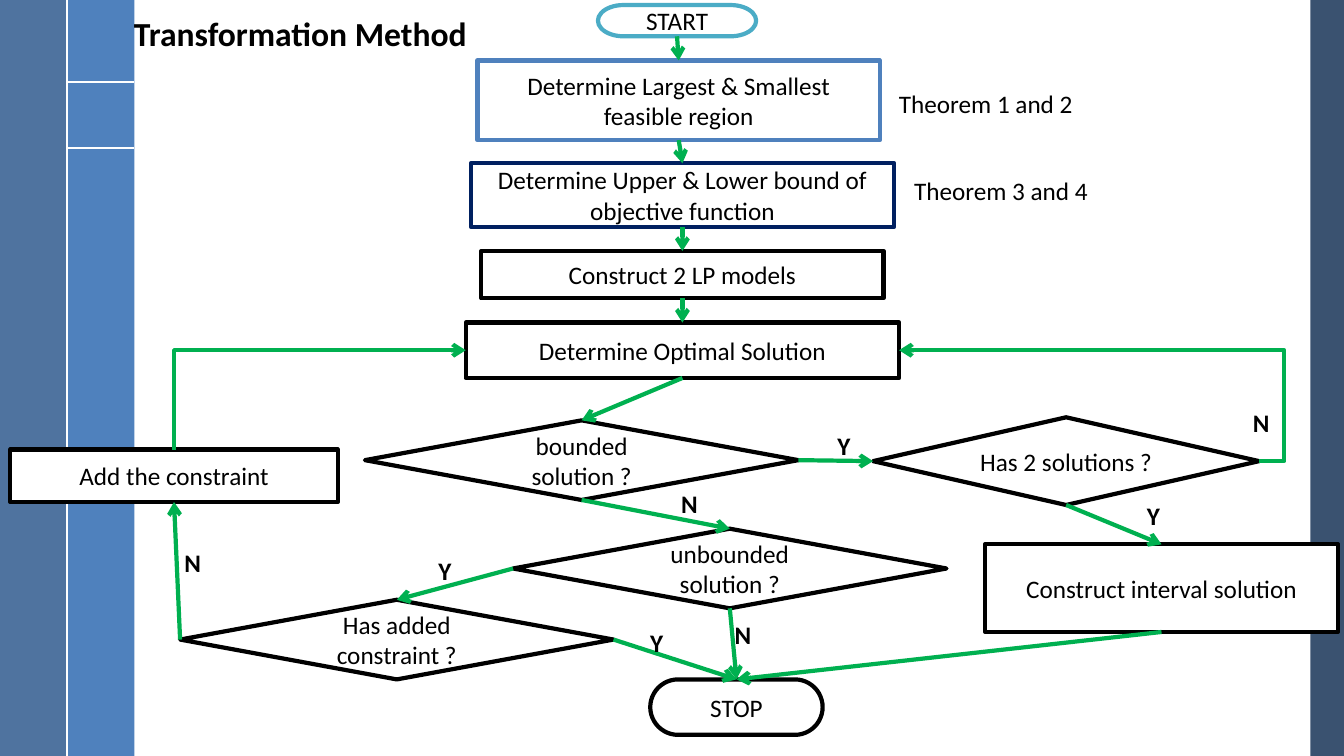
from collections import namedtuple

from lxml import etree
from pptx import Presentation
from pptx import util as u
from pptx.dml import color
from pptx.enum import shapes, text
from pptx.oxml import ns

COLUMNS, ROWS = 40, 30
COLORS = {
    "ink": "000000", "paper": "FFFFFF", "arrow": "00B050", "teal": "4BACC6",
    "blue": "4F81BD", "navy": "002060", "left": "376092", "right": "254061",
}
KINDS = {
    "end": shapes.MSO_SHAPE.FLOWCHART_TERMINATOR,
    "step": shapes.MSO_SHAPE.FLOWCHART_PROCESS,
    "choice": shapes.MSO_SHAPE.FLOWCHART_DECISION,
}
TOP, LEFT, BOTTOM, RIGHT = range(4)
Box = namedtuple("Box", "left top width height")

NODES = {
    "start": ("end", "START", "teal", 20.15, 0.2, 4.71, 1.24),
    "region": ("step", "Determine Largest & Smallest feasible region", "blue", 20.2, 2.4, 11.97, 3.16),
    "bounds": ("step", "Determine Upper & Lower bound of objective function", "navy", 20.31, 6.48, 12.6, 2.52),
    "models": ("step", "Construct 2 LP models", "ink", 20.31, 9.96, 11.97, 1.88),
    "optimal": ("step", "Determine Optimal Solution", "ink", 20.31, 12.8, 12.9, 2.2),
    "bounded": ("choice", "bounded\nsolution ?", "ink", 17.31, 16.68, 12.9, 3.16),
    "two": ("choice", "Has 2 solutions ?", "ink", 31.73, 16.56, 11.49, 3.48),
    "interval": ("step", "Construct interval solution", "ink", 34.57, 21.6, 10.5, 3.48),
    "unbounded": ("choice", "unbounded solution ?", "ink", 21.72, 20.98, 12.9, 3.16),
    "added": ("choice", "Has added constraint ?", "ink", 11.81, 23.8, 12.9, 3.16),
    "add": ("step", "Add the constraint", "ink", 5.18, 17.84, 9.75, 2.08),
    "stop": ("end", "STOP", "ink", 21.92, 26.96, 5.13, 2.2),
}
ARROWS = [
    ("start", BOTTOM, "region", TOP), ("region", BOTTOM, "bounds", TOP),
    ("bounds", BOTTOM, "models", TOP), ("models", BOTTOM, "optimal", TOP),
    ("optimal", BOTTOM, "bounded", TOP), ("bounded", RIGHT, "two", LEFT),
    ("bounded", BOTTOM, "unbounded", TOP), ("two", BOTTOM, "interval", TOP),
    ("unbounded", BOTTOM, "stop", TOP), ("unbounded", LEFT, "added", TOP),
    ("added", LEFT, "add", BOTTOM), ("interval", BOTTOM, "stop", TOP),
    ("added", RIGHT, "stop", TOP),
]
ANSWERS = {
    "Y": [(12.75, 21.84), (19.05, 24.68), (24.63, 16.88), (33.84, 19.64)],
    "N": [(5.19, 21.52), (19.98, 19.2), (21.57, 24.36), (36.99, 15.96)],
}
THEOREMS = [("Theorem 1 and 2", 26.46, 3.32), ("Theorem 3 and 4", 26.91, 6.76)]


def place(box, left, top, width, height):
    """Turn columns and rows of a box into slide lengths."""
    column, row = box.width / COLUMNS, box.height / ROWS
    return Box(*map(u.Emu, map(round, (
        box.left + left * column, box.top + top * row, width * column, height * row))))


def rgb(name):
    """Look up a colour by name."""
    return color.RGBColor.from_string(COLORS[name])


def write(shape, words, size=18, bold=False, frame_format=None, **para_format):
    """Fill a shape with formatted text."""
    frame = shape.text_frame
    for name, value in {"word_wrap": True, **(frame_format or {})}.items():
        setattr(frame, name, value)
    frame.text = words
    for para in frame.paragraphs:
        for name, value in para_format.items():
            setattr(para, name, value)
        for span in para.runs:
            for name, value in {"name": "Calibri", "size": u.Pt(size), "bold": bold}.items():
                setattr(span.font, name, value)
            span.font.color.rgb = rgb("ink")


def label(page, area, words, **formats):
    """Add a text box."""
    write(page.shapes.add_textbox(*area), words, **formats)


def block(page, kind, area, fill):
    """Add a filled shape without shadow or outline."""
    shape = page.shapes.add_shape(kind, *area)
    shape.shadow.inherit = False
    shape.fill.solid()
    shape.fill.fore_color.rgb = rgb(fill)
    shape.line.fill.background()
    return shape


def line(page, ends, shade, weight, kind=shapes.MSO_CONNECTOR.STRAIGHT):
    """Add a plain connector."""
    connector = page.shapes.add_connector(kind, *ends)
    connector.line.color.rgb = rgb(shade)
    connector.line.width = u.Pt(weight)
    etree.SubElement(connector._element.spPr, ns.qn("a:effectLst"))
    return connector


def arrow(page, start, start_side, end, end_side, kind=shapes.MSO_CONNECTOR.STRAIGHT):
    """Join two nodes with an arrow."""
    connector = line(page, (0, 0, 0, 0), "arrow", 3, kind)
    connector.begin_connect(start, start_side)
    connector.end_connect(end, end_side)
    etree.SubElement(connector.line._get_or_add_ln(), ns.qn("a:tailEnd"), type="arrow")
    return connector


def bend_outside(connector, share):
    """Move the bend of an elbow to a share of its width."""
    guides = connector._element.spPr.prstGeom.get_or_add_avLst()
    etree.SubElement(guides, ns.qn("a:gd"), name="adj1", fmla=f"val {round(share * 100000)}")


def bend_upward(connector):
    """Make an elbow rise first and then run to the right."""
    left, top, width, height = (
        connector.left, connector.top, connector.width, connector.height)
    shift = (width - height) // 2
    area = {"left": left + shift, "top": top - shift, "width": height, "height": width}
    for name, value in area.items():
        setattr(connector, name, u.Emu(value))
    for name, value in {"rot": "5400000", "flipH": "1", "flipV": "1"}.items():
        connector._element.spPr.xfrm.set(name, value)
    connector._element.spPr.prstGeom.set("prst", "bentConnector2")


def rails(page, box):
    """Draw the side bands and their dividers."""
    for left, width, fill, opacity in [(39, 1, "right", 90), (2, 2, "blue", 100), (0, 2, "left", 88)]:
        band = block(page, shapes.MSO_SHAPE.RECTANGLE, place(box, left, 0, width, ROWS), fill)
        if opacity < 100:
            shade = band._element.spPr.find(".//" + ns.qn("a:srgbClr"))
            etree.SubElement(shade, ns.qn("a:alpha"), val=str(opacity * 1000))
    for left, top, width, height in [(2, 3.24, 2, 0), (2, 5.88, 2, 0), (2, 0, 0, ROWS)]:
        area = place(box, left, top, width, height)
        line(page, (area.left, area.top, area.left + area.width, area.top + area.height), "paper", 1.5)


def flowchart(page, box):
    """Draw the nodes, arrows and answers of the method."""
    nodes = {}
    for name, (kind, words, outline, centre, top, width, height) in NODES.items():
        node = block(page, KINDS[kind], place(box, centre - width / 2, top, width, height), "paper")
        node.line.color.rgb = rgb(outline)
        node.line.width = u.Pt(3)
        write(node, words, alignment=text.PP_ALIGN.CENTER,
              frame_format={"vertical_anchor": text.MSO_ANCHOR.MIDDLE})
        nodes[name] = node
    for start, start_side, end, end_side in ARROWS:
        arrow(page, nodes[start], start_side, nodes[end], end_side)
    elbow = shapes.MSO_CONNECTOR.ELBOW
    bend_outside(arrow(page, nodes["two"], RIGHT, nodes["optimal"], RIGHT, elbow), -0.07)
    bend_upward(arrow(page, nodes["add"], TOP, nodes["optimal"], LEFT, elbow))
    for answer, spots in ANSWERS.items():
        for left, top in spots:
            label(page, place(box, left, top, 2, 1.6), answer, bold=True)


def captions(page, box):
    """Write the title and the theorem notes."""
    label(page, place(box, 3.69, 0.04, 11.82, 2.28), "Transformation Method", size=24, bold=True,
          line_spacing=0.9, frame_format={"vertical_anchor": text.MSO_ANCHOR.BOTTOM})
    for words, left, top in THEOREMS:
        label(page, place(box, left, top, 8.7, 1.6), words)


def main():
    """Build and save the deck."""
    deck = Presentation()
    deck.slide_width, deck.slide_height = u.Inches(13.33), u.Inches(7.5)
    page = deck.slides.add_slide(deck.slide_layouts[6])
    box = Box(0, 0, deck.slide_width, deck.slide_height)
    for region in (rails, flowchart, captions):
        region(page, box)
    deck.save("out.pptx")


if __name__ == "__main__":
    main()
